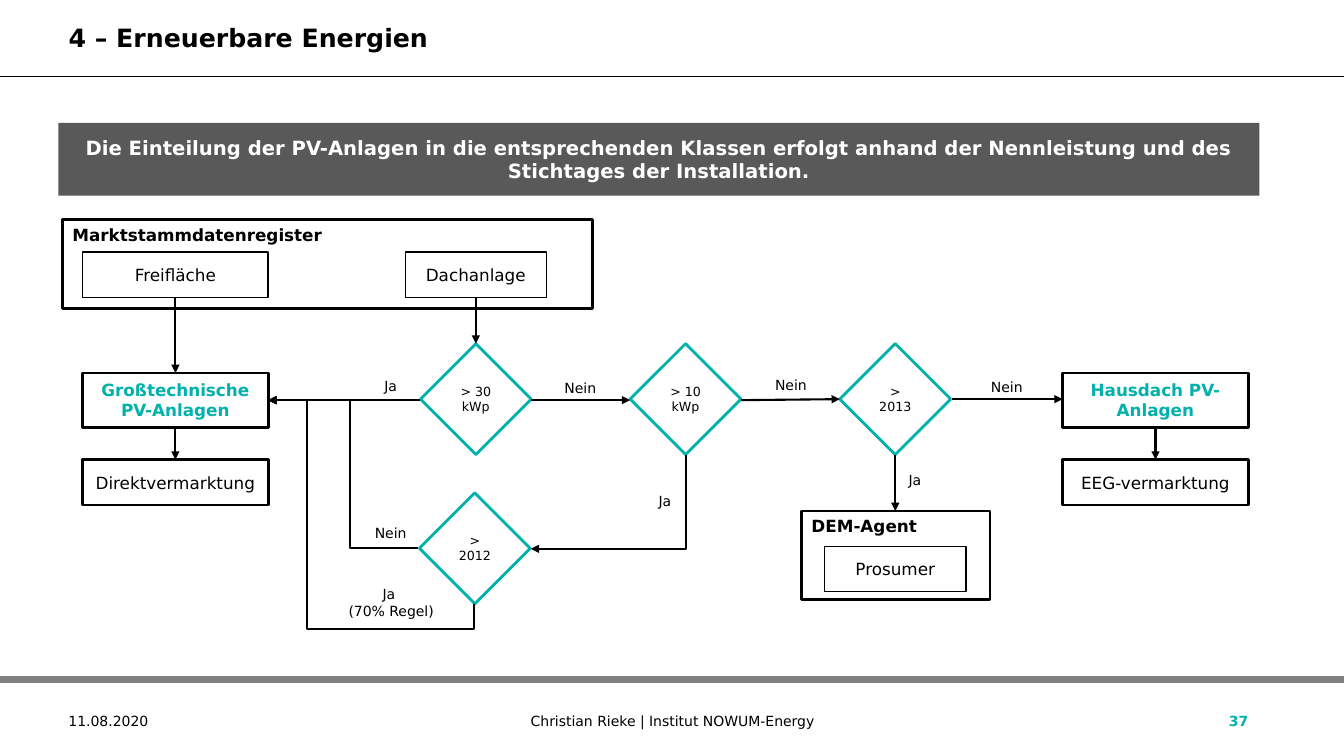
import pptx
import pptx.util
import pptx.dml.color
import pptx.enum.shapes
import pptx.enum.text
import pptx.oxml
import pptx.oxml.ns

PX = 9144  # 100 px to the inch
INK = {"black": "000000", "white": "FFFFFF", "teal": "00B1AC", "slate": "595959", "grey": "808080"}
FORM = pptx.enum.shapes.MSO_SHAPE
LINK = pptx.enum.shapes.MSO_CONNECTOR
LEFT, MID, RIGHT = (getattr(pptx.enum.text.PP_ALIGN, n) for n in ("LEFT", "CENTER", "RIGHT"))
TOP, CORE = pptx.enum.text.MSO_ANCHOR.TOP, pptx.enum.text.MSO_ANCHOR.MIDDLE


def rgb(name):
    return pptx.dml.color.RGBColor.from_string(INK[name])


def write(shape, text, size, ink="black", bold=False, align=MID, anchor=CORE, gap=None):
    frame = shape.text_frame
    frame.text = text
    looks = {"word_wrap": True, "auto_size": pptx.enum.text.MSO_AUTO_SIZE.NONE, "vertical_anchor": anchor}
    for key, val in looks.items():
        setattr(frame, key, val)
    para = frame.paragraphs[0]
    para.alignment = align
    if gap is not None:
        para.space_before = pptx.util.Pt(gap)
    for run in para.runs:
        for key, val in {"name": "DejaVu Sans", "size": pptx.util.Pt(size), "bold": bold}.items():
            setattr(run.font, key, val)
        run.font.color.rgb = rgb(ink)
    # Line breaks take the text size too
    for brk in para._p.findall(pptx.oxml.ns.qn("a:br")):
        brk.append(pptx.oxml.parse_xml(f'<a:rPr {pptx.oxml.ns.nsdecls("a")} sz="{size * 100}"/>'))


deck = pptx.Presentation()
deck.slide_width, deck.slide_height = 1333 * PX, 750 * PX
slide = deck.slides.add_slide(deck.slide_layouts[1])
shapes = slide.shapes

# Title and banner
title, banner = slide.placeholders
for item, spot in ((title, (58, 10, 1191, 55)), (banner, (58, 122, 1191, 72))):
    for key, val in zip(("left", "top", "width", "height"), spot):
        setattr(item, key, val * PX)
write(title, "4 – Erneuerbare Energien", 18, bold=True, align=LEFT)
write(banner, "Die Einteilung der PV-Anlagen in die entsprechenden Klassen erfolgt anhand der "
      "Nennleistung und des Stichtages der Installation.", 14, "white", True)
banner.fill.solid()
banner.fill.fore_color.rgb = rgb("slate")
props = banner.text_frame.paragraphs[0]._p.get_or_add_pPr()
props.set("marL", "0")
props.set("indent", "0")
props.append(pptx.oxml.parse_xml(f'<a:buNone {pptx.oxml.ns.nsdecls("a")}/>'))

# Boxes: text, spot, line width, text ink, bold
rows = [
    ("Marktstammdatenregister", (62, 218, 526, 88), 2, "black", True),
    ("DEM-Agent", (795, 507, 187, 88), 2, "black", True),
    ("Freifläche", (82, 250, 184, 45), 1, "black", False),
    ("Dachanlage", (402, 250, 140, 45), 1, "black", False),
    ("Prosumer", (818, 542, 140, 45), 1, "black", False),
    ("Großtechnische PV-Anlagen", (82, 370, 184, 54), 2, "teal", True),
    ("Hausdach PV-Anlagen", (1054, 370, 184, 54), 2, "teal", True),
    ("Direktvermarktung", (82, 456, 184, 45), 2, "black", False),
    ("EEG-vermarktung", (1054, 456, 184, 45), 2, "black", False),
]
tests = [("> 30 kWp", 417, 341), ("> 10 kWp", 625, 341), ("> 2013", 833, 341), ("> 2012", 416, 489)]
nodes = [(FORM.RECTANGLE, *row, "black", 12) for row in rows]
nodes += [(FORM.FLOWCHART_DECISION, text, (x, y, 110, 110), 2, "black", False, "teal", 9)
          for text, x, y in tests]
for form, text, spot, thick, ink, bold, edge, size in nodes:
    node = shapes.add_shape(form, *(n * PX for n in spot))
    node.shadow.inherit = False
    node.line.color.rgb = rgb(edge)
    node.line.width = pptx.util.Pt(thick)
    frame = spot[3] == 88
    if frame:
        node.fill.background()
    else:
        node.fill.solid()
        node.fill.fore_color.rgb = rgb("white")
    write(node, text, size, ink, bold, LEFT if frame else MID, TOP if frame else CORE)

# Lines: ends, line width, ink, arrow, bend (preset, turn, flip, adjustments)
lines = [
    ((0, 76, 1333, 76), 1, "black", False, None),
    ((0, 674, 1333, 674), 4.5, "grey", False, None),
]
arrows = [
    (527, 397, 625, 397), (417, 397, 266, 397), (735, 397, 833, 396), (944, 396, 1054, 396),
    (472, 295, 472, 341), (174, 295, 174, 370), (174, 424, 174, 456),
    (1146, 424, 1146, 456), (888, 451, 888, 507),
]
lines += [(ends, 1.5, "black", True, None) for ends in arrows]
bends = [
    ((267, 396, 469, 600), ("bentConnector4", 90, True, (-12400, 81100))),
    ((266, 397, 415, 544), ("bentConnector3", 180, False, (45300,))),
    ((557, 421, 650, 575), ("bentConnector2", 90, False, ())),
]
lines += [(ends, 1.5, "black", True, bend) for ends, bend in bends]
for ends, thick, ink, arrow, bend in lines:
    line = shapes.add_connector(LINK.ELBOW if bend else LINK.STRAIGHT, *(n * PX for n in ends))
    line.line.color.rgb = rgb(ink)
    line.line.width = pptx.util.Pt(thick)
    part = line._element.spPr
    if arrow:
        part.find(pptx.oxml.ns.qn("a:ln")).append(
            pptx.oxml.parse_xml(f'<a:tailEnd {pptx.oxml.ns.nsdecls("a")} type="triangle"/>'))
    part.append(pptx.oxml.parse_xml(f'<a:effectLst {pptx.oxml.ns.nsdecls("a")}/>'))
    if bend:
        kind, turn, flip, moves = bend
        frame = part.find(pptx.oxml.ns.qn("a:xfrm"))
        frame.set("rot", str(turn * 60000))
        if flip:
            frame.set("flipH", "1")
        guides = "".join(f'<a:gd name="adj{i}" fmla="val {move}"/>' for i, move in enumerate(moves, 1))
        geom = part.find(pptx.oxml.ns.qn("a:prstGeom"))
        part.replace(geom, pptx.oxml.parse_xml(
            f'<a:prstGeom {pptx.oxml.ns.nsdecls("a")} prst="{kind}"><a:avLst>{guides}</a:avLst></a:prstGeom>'))

# Branch labels
labels = [
    ("Ja", (364, 370, 47, 27)), ("Nein", (356, 515, 63, 27)), ("Nein", (544, 372, 63, 27)),
    ("Ja", (628, 484, 63, 27)), ("Nein", (753, 369, 63, 27)), ("Nein", (967, 371, 63, 27)),
    ("Ja", (876, 463, 63, 27)), ("Ja \v(70% Regel)", (333, 576, 110, 44)),
]
for text, spot in labels:
    write(shapes.add_textbox(*(n * PX for n in spot)), text, 10, anchor=TOP, gap=6)

# Footer
feet = [
    ("11.08.2020", (58, 695, 189, 40), LEFT, "black", False),
    ("Christian Rieke | Institut NOWUM-Energy", (352, 695, 630, 40), MID, "black", False),
    ("37", (1160, 695, 88, 40), RIGHT, "teal", True),
]
for text, spot, align, ink, bold in feet:
    write(shapes.add_textbox(*(n * PX for n in spot)), text, 10, ink, bold, align)

deck.save("out.pptx")
